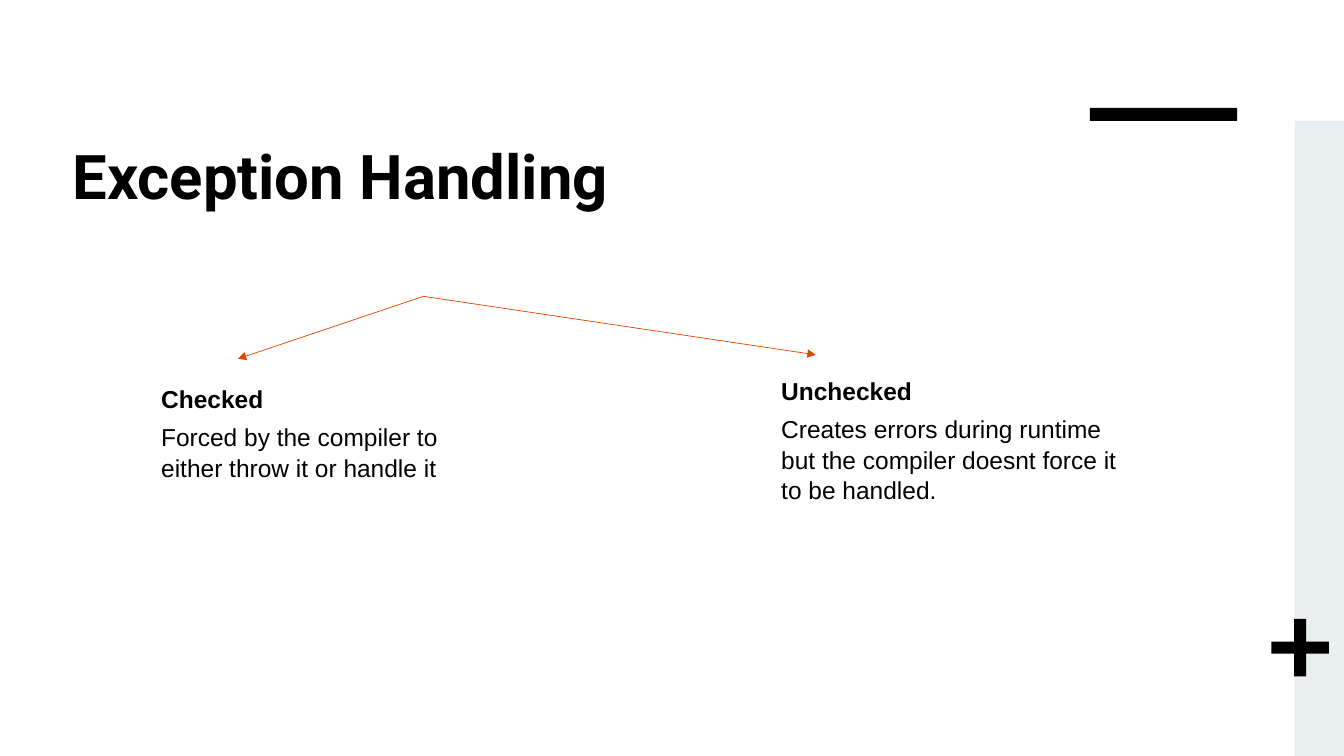
from pptx import Presentation
from pptx.dml.color import RGBColor
from pptx.enum.shapes import MSO_CONNECTOR, MSO_SHAPE
from pptx.oxml.ns import qn
from pptx.util import Inches, Pt
from lxml.etree import SubElement

BLACK = RGBColor(0x00, 0x00, 0x00)
PALE_GREY = RGBColor(0xE9, 0xEF, 0xF1)
ORANGE = RGBColor(0xE2, 0x44, 0x00)

FORK = (4.2, 2.94)
BRANCHES = [
    ("Checked", "Forced by the compiler to either throw it or handle it",
     (1.5, 3.75, 3.49, 1.07), (2.36, 3.56)),
    ("Unchecked", "Creates errors during runtime but the compiler doesnt "
     "force it to be handled.",
     (7.65, 3.67, 3.71, 1.36), (8.09, 3.52)),
]


def add_block(slide, preset, box, color):
    block = slide.shapes.add_shape(preset, *map(Inches, box))
    block.shadow.inherit = False
    block.fill.solid()
    block.fill.fore_color.rgb = color
    block.line.fill.background()
    return block


def add_text(slide, box, lines, font_name, size, spacing=1.0):
    """Add a text box whose first line is bold."""
    frame = slide.shapes.add_textbox(*map(Inches, box)).text_frame
    frame.word_wrap = True
    frame.text = "\n".join(lines)
    for index, paragraph in enumerate(frame.paragraphs):
        paragraph.space_after = Pt(6)
        paragraph.line_spacing = spacing
        paragraph.font.name = font_name
        paragraph.font.size = Pt(size)
        paragraph.font.bold = index == 0
        paragraph.font.color.rgb = BLACK


def add_arrow(slide, start, end):
    arrow = slide.shapes.add_connector(
        MSO_CONNECTOR.STRAIGHT, *map(Inches, start + end))
    arrow.line.color.rgb = ORANGE
    arrow.line.width = Pt(0.5)
    SubElement(arrow.line._get_or_add_ln(), qn("a:tailEnd"), type="triangle")
    SubElement(arrow._element.spPr, qn("a:effectLst"))


def main():
    prs = Presentation()
    prs.slide_width, prs.slide_height = Inches(13.33), Inches(7.5)
    slide = prs.slides.add_slide(prs.slide_layouts[6])

    add_text(slide, (0.62, 1.32, 9.04, 1.58), ["Exception Handling"],
             "Roboto", 44)
    add_block(slide, MSO_SHAPE.RECTANGLE, (12.84, 1.2, 0.49, 6.3), PALE_GREY)
    add_block(slide, MSO_SHAPE.RECTANGLE, (10.81, 1.07, 1.46, 0.13), BLACK)
    plus = add_block(slide, MSO_SHAPE.CROSS, (12.61, 6.14, 0.57, 0.57), BLACK)
    plus.adjustments[0] = 0.395

    for heading, description, box, arrow_tip in BRANCHES:
        add_arrow(slide, FORK, arrow_tip)
        add_text(slide, box, [heading, description], "Arial", 17.5, 1.03)

    prs.save("out.pptx")


if __name__ == "__main__":
    main()
